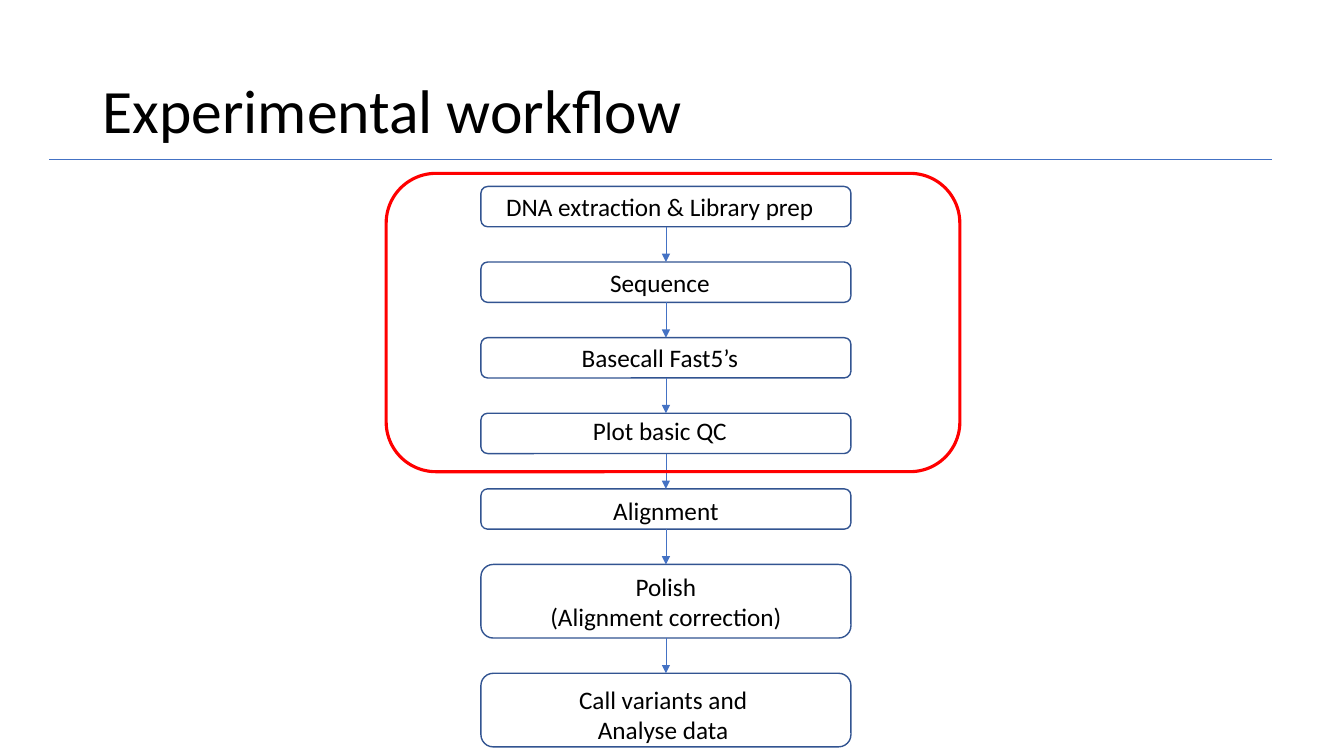
"""Build the experimental workflow slide: a column of linked steps with a highlighted group."""
from lxml.etree import SubElement
from pptx import Presentation
from pptx.dml.color import RGBColor
from pptx.enum.shapes import MSO_CONNECTOR, MSO_SHAPE
from pptx.enum.text import MSO_ANCHOR, PP_ALIGN
from pptx.oxml.ns import qn
from pptx.util import Inches, Pt

BLACK = RGBColor(0x00, 0x00, 0x00)
BLUE = RGBColor(0x44, 0x72, 0xC4)
DARK_BLUE = RGBColor(0x32, 0x54, 0x91)
RED = RGBColor(0xFF, 0x00, 0x00)

deck = Presentation()
deck.slide_width = Inches(13.33)
deck.slide_height = Inches(7.5)
page = deck.slides.add_slide(deck.slide_layouts[6])


def write(box, text, size=18, align=PP_ALIGN.CENTER, spacing=1.0, shift=(0, 0)):
    across, down = shift
    frame = box.text_frame
    frame.word_wrap = True
    frame.vertical_anchor = MSO_ANCHOR.MIDDLE
    frame.margin_left, frame.margin_right = Inches(0.1 + across), Inches(0.1 - across)
    frame.margin_top, frame.margin_bottom = Inches(0.05 + down), Inches(0.05 - down)
    for index, line in enumerate(text.split("\n")):
        para = frame.paragraphs[0] if index == 0 else frame.add_paragraph()
        para.alignment = align
        para.line_spacing = spacing
        span = para.add_run()
        span.text = line
        span.font.name = "Calibri"
        span.font.size = Pt(size)
        span.font.color.rgb = BLACK


def outline(left, top, width, height, color, weight):
    box = page.shapes.add_shape(MSO_SHAPE.ROUNDED_RECTANGLE, Inches(left), Inches(top),
                                Inches(width), Inches(height))
    box.shadow.inherit = False
    box.fill.background()
    box.line.color.rgb = color
    box.line.width = Pt(weight)
    return box


title = page.shapes.add_textbox(Inches(0.92), Inches(0.4), Inches(11.5), Inches(1.45))
write(title, "Experimental workflow", size=44, align=PP_ALIGN.LEFT, spacing=0.9)

steps = [
    ("DNA extraction & Library prep", 0.4, (-0.06, 0)),
    ("Sequence", 0.4, (-0.06, 0)),
    ("Basecall Fast5’s", 0.4, (-0.06, 0)),
    ("Plot basic QC", 0.4, (-0.06, -0.03)),
    ("Alignment", 0.4, (0, 0.01)),
    ("Polish\n(Alignment correction)", 0.73, (0, 0)),
    ("Call variants and \nAnalyse data ", 0.73, (0, 0.04)),
]
GAP = 0.35
top = 1.85
step_boxes = []
for label, height, shift in steps:
    step_box = outline(4.77, top, 3.67, height, DARK_BLUE, 1)
    write(step_box, label, shift=shift)
    step_boxes.append(step_box)
    top += height + GAP

title_rule = page.shapes.add_connector(MSO_CONNECTOR.STRAIGHT, Inches(0.49), Inches(1.58),
                                       Inches(12.62), Inches(1.58))
arrows = []
for upper, lower in zip(step_boxes, step_boxes[1:]):
    arrow = page.shapes.add_connector(MSO_CONNECTOR.STRAIGHT, 0, 0, 0, 0)
    arrow.begin_connect(upper, 2)
    arrow.end_connect(lower, 0)
    arrows.append(arrow)

for connector in [title_rule] + arrows:
    connector.line.color.rgb = BLUE
    connector.line.width = Pt(0.5)
    if connector in arrows:
        SubElement(connector.line._get_or_add_ln(), qn("a:tailEnd"), type="triangle")
    SubElement(connector._element.spPr, qn("a:effectLst"))

outline(3.83, 1.72, 5.69, 2.96, RED, 2.25)

deck.save("out.pptx")
